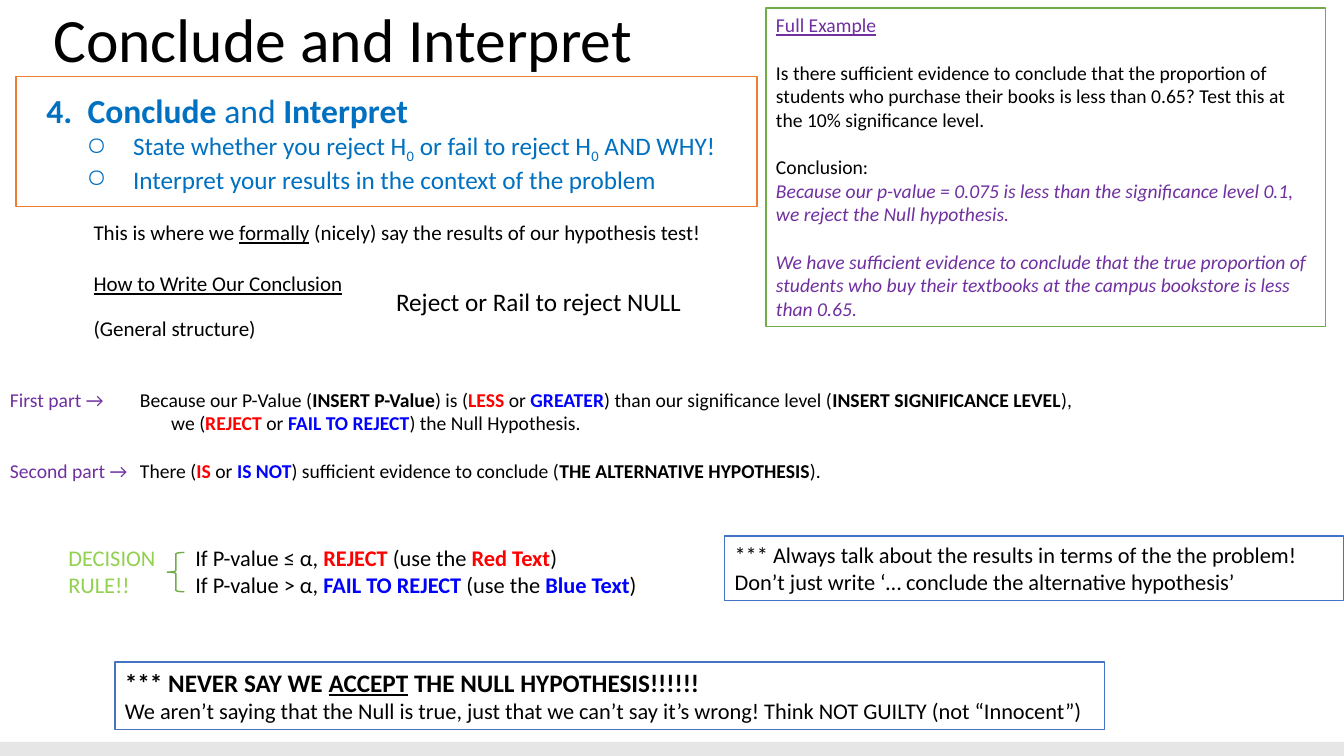
from lxml import etree
from pptx import Presentation
from pptx.dml.color import RGBColor
from pptx.enum import shapes, text
from pptx.oxml.ns import qn
from pptx.util import Pt

BLACK = RGBColor(0x00, 0x00, 0x00)
WHITE = RGBColor(0xFF, 0xFF, 0xFF)
SILVER = RGBColor(0xE7, 0xE6, 0xE6)
ORANGE = RGBColor(0xED, 0x7D, 0x31)
GREEN = RGBColor(0x70, 0xAD, 0x47)
LIME = RGBColor(0x92, 0xD0, 0x50)
STEEL = RGBColor(0x44, 0x72, 0xC4)
SKY = RGBColor(0x00, 0x70, 0xC0)
PURPLE = RGBColor(0x70, 0x30, 0xA0)
RED = RGBColor(0xFF, 0x00, 0x00)
BLUE = RGBColor(0x00, 0x00, 0xFF)

FONT = "Calibri"
LINE_HEIGHT = 1.22  # of the font size

# Run styles
BOLD = {"bold": True}
ITALIC = {"italic": True}
UNDER = {"underline": True}
STRONG_UNDER = {"bold": True, "underline": True}
SUB = {"baseline": "-25000"}
REJECT = {"bold": True, "color": RED}
KEEP = {"bold": True, "color": BLUE}

# Paragraph layouts; "gap" is the space before, in lines
BULLET = {"size": 18, "left": 74.16, "indent": -33.12, "bullet": "○"}
HANGING = {"left": 22.32, "indent": -22.32}

# Each paragraph: its runs (text, or text with a style), then its layout
TITLE = [(["Conclude and Interpret"], {"line": 0.9})]

INTRO = [
    (["This is where we ", ("formally", UNDER),
      " (nicely) say the results of our hypothesis test!"], {}),
    ([("How to Write Our Conclusion", UNDER)], {"gap": 1}),
    (["(General structure)"], {"gap": 0.9, "line": 0.9}),
]

STEP = [
    ([("4.  Conclude ", BOLD), "and", (" Interpret", BOLD)], {"left": 12.24}),
    (["State whether you reject H", ("0", SUB), " or fail to reject H",
      ("0", SUB), " AND WHY!"], BULLET),
    (["Interpret your results in the context of the problem"], BULLET),
]

EXAMPLE = [
    ([("Full Example", UNDER)], {"color": PURPLE}),
    (["Is there sufficient evidence to conclude that the proportion of "
      "students who purchase their books is less than 0.65? Test this at "
      "the 10% significance level."], {"gap": 1}),
    (["Conclusion:"], {"gap": 1}),
    ([("Because our p-value = 0.075 is less than the significance level 0.1, "
       "we reject the Null hypothesis.", ITALIC)], {"color": PURPLE}),
    ([("We have sufficient evidence to conclude that the true proportion of "
       "students who buy their textbooks at the campus bookstore is less "
       "than 0.65.", ITALIC)], {"color": PURPLE, "gap": 1}),
]

CONTEXT = [
    (["*** Always talk about the results in terms of the the problem!"], {}),
    (["Don’t just write ‘… conclude the alternative hypothesis’"], {}),
]

RULES = [
    (["If P-value ≤ α, ", ("REJECT ", REJECT), "(use the ",
      ("Red Text", REJECT), ")"], {}),
    (["If P-value > α, ", ("FAIL TO REJECT ", KEEP), "(use the ",
      ("Blue Text", KEEP), ")"], {}),
]

WARNING = [
    ([("*** NEVER SAY WE ", BOLD), ("ACCEPT", STRONG_UNDER),
      (" THE NULL HYPOTHESIS!!!!!!", BOLD)], {"size": 18}),
    (["We aren’t saying that the Null is true, just that we can’t say it’s "
      "wrong! Think NOT GUILTY (not “Innocent”)"], {}),
]

PARTS = [(["First part →"], {}), (["Second part →"], {"gap": 2})]

CONCLUSION = [
    (["Because our P-Value (", ("INSERT P-Value", BOLD), ") is (",
      ("LESS", REJECT), " or ", ("GREATER", KEEP),
      ") than our significance level (", ("INSERT SIGNIFICANCE LEVEL", BOLD),
      "), we (", ("REJECT", REJECT), " or ", ("FAIL TO REJECT", KEEP),
      ") the Null Hypothesis."], HANGING),
    (["There (", ("IS", REJECT), " or ", ("IS NOT", KEEP),
      ") sufficient evidence to conclude (",
      ("THE ALTERNATIVE HYPOTHESIS", BOLD), ")."], {**HANGING, "gap": 1}),
]

NULL_CHOICE = [(["Reject or Rail to reject NULL"], {})]
DECISION = [(["DECISION RULE!!"], {})]

# Paragraphs, (left, top, width, height), font size, text colour, border, insets
PLAIN = (7.2, 3.6)
BLOCKS = [
    (TITLE, (30.96, 0, 894.24, 60.5), 44, BLACK, None, (7.2, 7.2)),
    (INTRO, (59.76, 149.76, 743.76, 120.24), 15, BLACK, None, (7.2, 7.2)),
    (STEP, (11.5, 54.7, 529.2, 92.9), 24, SKY, ORANGE, (9.36, 9.36)),
    (EXAMPLE, (547.2, 5.76, 399.6, 227.5), 14, BLACK, GREEN, PLAIN),
    (CONTEXT, (517.7, 383, 442.1, 46), 16, BLACK, STEEL, PLAIN),
    (RULES, (132.5, 385.2, 480.24, 46), 16, BLACK, None, PLAIN),
    (WARNING, (82.1, 473, 707, 48.24), 16, BLACK, STEEL, PLAIN),
    (PARTS, (0, 273.6, 105, 75), 14, PURPLE, None, PLAIN),
    (CONCLUSION, (92.88, 273.2, 697.68, 75), 14, BLACK, None, PLAIN),
    (NULL_CHOICE, (275.8, 200.9, 220.3, 28.8), 18, BLACK, None, PLAIN),
    (DECISION, (41.76, 385.2, 114.5, 46), 16, LIME, None, PLAIN),
]
FOOTER = (0, 530, 960, 10)
BRACE = (119.5, 394.6, 12.24, 28.1)


def add_shape(slide, kind, at, fill=None, border=None, width=1):
    shape = slide.shapes.add_shape(kind, *map(Pt, at))
    shape.shadow.inherit = False
    for part, color in ((shape.fill, fill), (shape.line.fill, border)):
        if color is None:
            part.background()
        else:
            part.solid()
            part.fore_color.rgb = color
    if border is not None:
        shape.line.width = Pt(width)
    return shape


def add_run(paragraph, words, style, size, color):
    run = paragraph.add_run()
    run.text = words
    values = {"name": FONT, "size": Pt(size), **style}
    run.font.color.rgb = values.pop("color", color)
    baseline = values.pop("baseline", None)
    for name, value in values.items():
        setattr(run.font, name, value)
    if baseline:
        run.font._element.set("baseline", baseline)


def lay_out(paragraph, layout, size):
    """Set spacing, indents and bullet."""
    values = {
        "alignment": text.PP_ALIGN.LEFT,
        "line_spacing": layout.get("line", 1.0),
        "space_before": Pt(round(layout.get("gap", 0) * size * LINE_HEIGHT, 1)),
    }
    for name, value in values.items():
        setattr(paragraph, name, value)
    properties = paragraph._p.get_or_add_pPr()
    properties.set("marL", str(Pt(layout.get("left", 0))))
    properties.set("indent", str(Pt(layout.get("indent", 0))))
    if "bullet" in layout:
        etree.SubElement(properties, qn("a:buChar")).set("char", layout["bullet"])


def add_block(slide, paragraphs, at, size, color, border, insets):
    if border is None:
        block = slide.shapes.add_textbox(*map(Pt, at))
    else:
        block = add_shape(slide, shapes.MSO_SHAPE.RECTANGLE, at, WHITE, border)
    frame = block.text_frame
    across, down = map(Pt, insets)
    anchor = text.MSO_ANCHOR.MIDDLE if paragraphs is TITLE else text.MSO_ANCHOR.TOP
    values = {"word_wrap": True, "vertical_anchor": anchor,
              "margin_left": across, "margin_right": across,
              "margin_top": down, "margin_bottom": down}
    for name, value in values.items():
        setattr(frame, name, value)
    for number, (runs, layout) in enumerate(paragraphs):
        paragraph = frame.add_paragraph() if number else frame.paragraphs[0]
        own_size = layout.get("size", size)
        lay_out(paragraph, layout, own_size)
        for run in runs:
            words, style = (run, {}) if isinstance(run, str) else run
            add_run(paragraph, words, style, own_size, layout.get("color", color))


def main():
    deck = Presentation()
    deck.slide_width, deck.slide_height = Pt(960), Pt(540)
    slide = deck.slides.add_slide(deck.slide_layouts[6])
    add_shape(slide, shapes.MSO_SHAPE.RECTANGLE, FOOTER, SILVER)
    for block in BLOCKS:
        add_block(slide, *block)
    add_shape(slide, shapes.MSO_SHAPE.LEFT_BRACE, BRACE, border=GREEN)
    deck.save("out.pptx")


if __name__ == "__main__":
    main()
